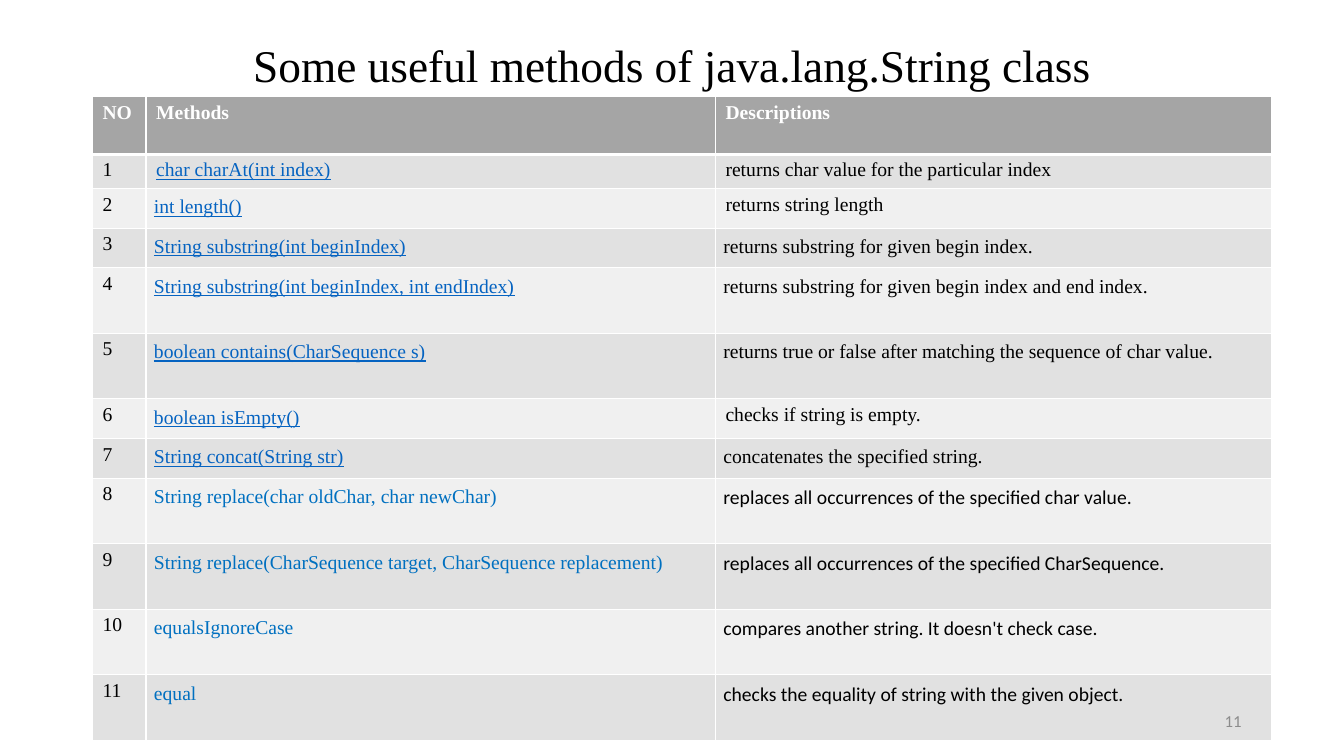
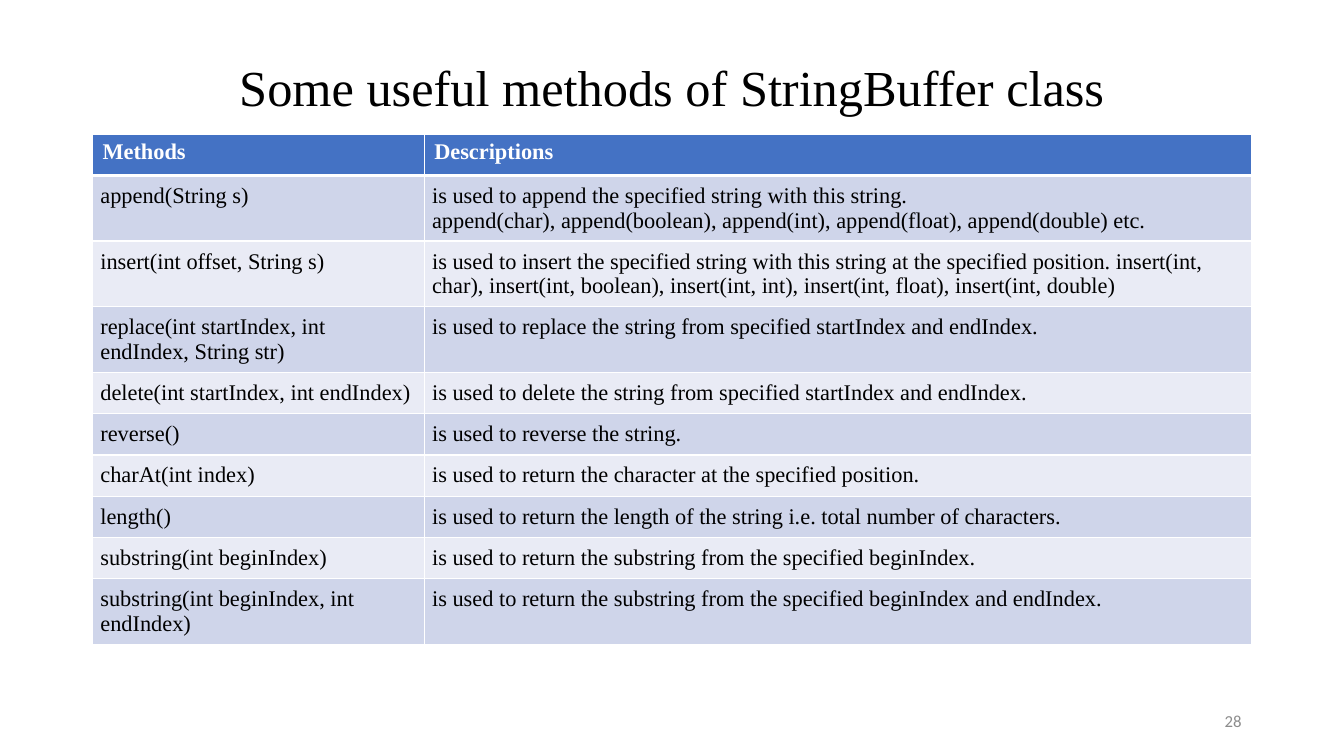
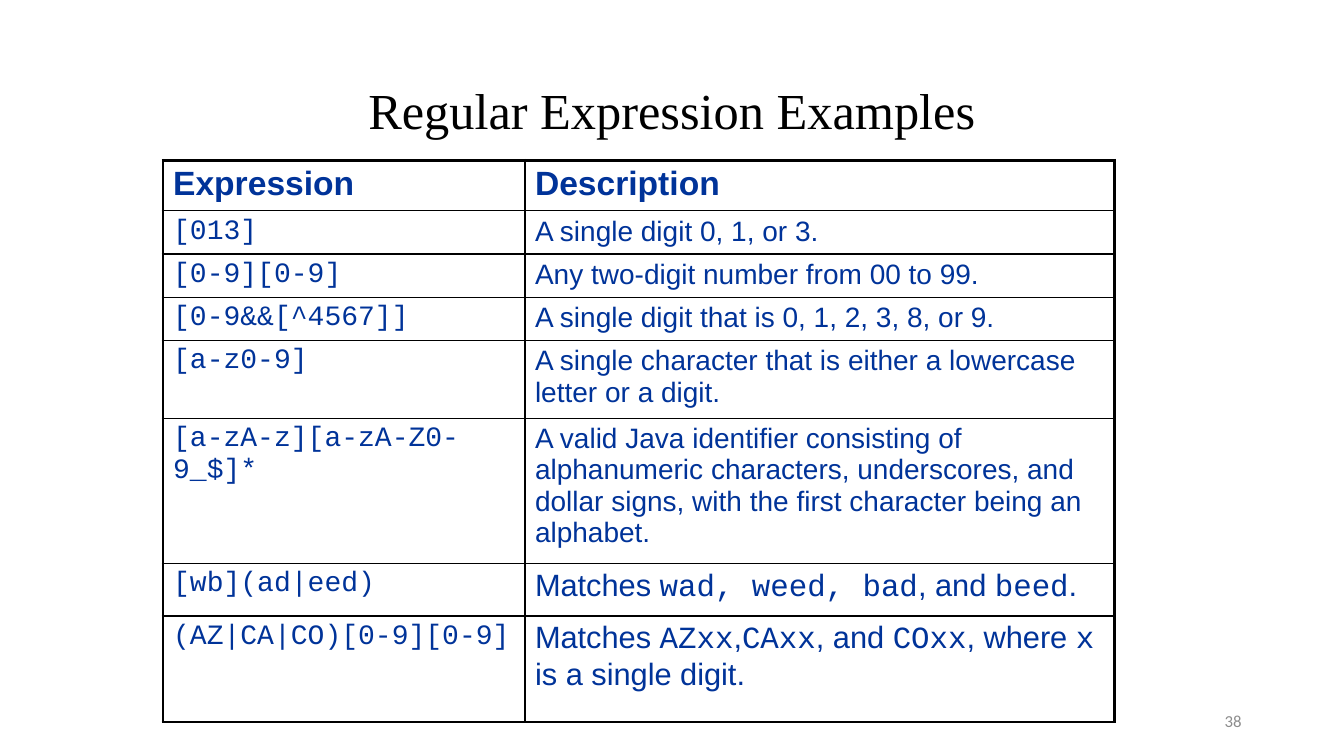
import pptx
import pptx.dml.color
import pptx.enum.text
import pptx.oxml
import pptx.oxml.ns
import pptx.util
from pptx.util import Cm

SERIF, SANS, MONO, PLAIN = "Times New Roman", "Arial", "Courier New", "Calibri"
BLACK, WHITE, GRAY = "000000", "FFFFFF", "8C8C8C"
LINK, METHOD, NAVY = "0563C1", "0070C0", "003399"
MARGIN, CONTENT_WIDTH = 2.33, 29.21
ALIGN = pptx.enum.text.PP_ALIGN
MIDDLE = pptx.enum.text.MSO_ANCHOR.MIDDLE

STRING_METHODS = [
    ("char charAt(int index)", "returns char value for the particular index"),
    ("int length()", "returns string length"),
    ("String substring(int beginIndex)", "returns substring for given begin index."),
    ("String substring(int beginIndex, int endIndex)",
     "returns substring for given begin index and end index."),
    ("boolean contains(CharSequence s)",
     "returns true or false after matching the sequence of char value."),
    ("boolean isEmpty()", "checks if string is empty."),
    ("String concat(String str)", "concatenates the specified string."),
    ("String replace(char oldChar, char newChar)",
     "replaces all occurrences of the specified char value."),
    ("String replace(CharSequence target, CharSequence replacement)",
     "replaces all occurrences of the specified CharSequence."),
    ("equalsIgnoreCase", "compares another string. It doesn't check case."),
    ("equal", "checks the equality of string with the given object."),
]
BUFFER_METHODS = [
    ("append(String s)",
     "is used to append the specified string with this string.\n"
     "append(char), append(boolean), append(int), append(float), append(double) etc."),
    ("insert(int offset, String s)",
     "is used to insert the specified string with this string at the specified position. "
     "insert(int, char), insert(int, boolean), insert(int, int), insert(int, float), "
     "insert(int, double)"),
    ("replace(int startIndex, int endIndex, String str)",
     "is used to replace the string from specified startIndex and endIndex."),
    ("delete(int startIndex, int endIndex)",
     "is used to delete the string from specified startIndex and endIndex."),
    ("reverse()", "is used to reverse the string."),
    ("charAt(int index)", "is used to return the character at the specified position."),
    ("length()", "is used to return the length of the string i.e. total number of characters."),
    ("substring(int beginIndex)",
     "is used to return the substring from the specified beginIndex."),
    ("substring(int beginIndex, int endIndex)",
     "is used to return the substring from the specified beginIndex and endIndex."),
]
EXPRESSIONS = [
    ("[013]", "A single digit 0, 1, or 3.", 20),
    ("[0-9][0-9]", "Any two-digit number from 00 to 99.", 20),
    ("[0-9&&[^4567]]", "A single digit that is 0, 1, 2, 3, 8, or 9.", 20),
    ("[a-z0-9]", "A single character that is either a lowercase letter or a digit.", 20),
    ("[a-zA-z][a-zA-Z0-9_$]*",
     "A valid Java identifier consisting of alphanumeric characters, underscores, and "
     "dollar signs, with the first character being an alphabet.", 20),
    ("[wb](ad|eed)", "Matches `wad, weed, bad`, and `beed`.", 22),
    ("(AZ|CA|CO)[0-9][0-9]",
     "Matches `AZxx`,`CAxx`, and `COxx`, where `x` is a single digit.", 22),
]


def rgb(value):
    """Turn a hex string into a colour."""
    return pptx.dml.color.RGBColor.from_string(value)


def write(frame, text, font=SERIF, size=16, color=BLACK, bold=False, underline=False,
          align=ALIGN.LEFT, spacing=None):
    """Write lines of text, setting parts between backticks in the code font."""
    frame.word_wrap = True
    for number, line in enumerate(text.split("\n")):
        paragraph = frame.add_paragraph() if number else frame.paragraphs[0]
        paragraph.alignment = align
        if spacing:
            paragraph.line_spacing = spacing
        for index, part in enumerate(line.split("`")):
            run = paragraph.add_run()
            run.text = part
            run.font.name = MONO if index % 2 else font
            run.font.size = pptx.util.Pt(size)
            run.font.color.rgb = rgb(color)
            run.font.bold = bold
            run.font.underline = underline


class Deck:
    """Hold the shared style and the current slide."""

    def __init__(self):
        """Start a widescreen presentation."""
        self.presentation = pptx.Presentation()
        self.presentation.slide_width = Cm(33.87)
        self.presentation.slide_height = Cm(19.05)
        self.slide = None

    def new_slide(self, title, height, size=36):
        """Add a slide with a centred title."""
        self.slide = self.presentation.slides.add_slide(self.presentation.slide_layouts[5])
        shape = self.slide.shapes.title
        shape.left, shape.top = Cm(MARGIN), Cm(1.01)
        shape.width, shape.height = Cm(CONTENT_WIDTH), Cm(height)
        shape.text_frame.auto_size = pptx.enum.text.MSO_AUTO_SIZE.NONE
        shape.text_frame.vertical_anchor = MIDDLE
        write(shape.text_frame, title, size=size, align=ALIGN.CENTER, spacing=0.9)

    def page_number(self, number):
        """Write the page number at the lower right."""
        shape = self.slide.shapes.add_textbox(Cm(23.92), Cm(17.65), Cm(7.62), Cm(1.01))
        shape.text_frame.vertical_anchor = MIDDLE
        write(shape.text_frame, str(number), font=PLAIN, size=12, color=GRAY,
              align=ALIGN.RIGHT)

    def table(self, left, top, widths, heights):
        """Add an empty table with the given columns and rows."""
        table = self.slide.shapes.add_table(
            len(heights), len(widths), Cm(left), Cm(top),
            Cm(sum(widths)), Cm(sum(heights))).table
        for column, width in zip(table.columns, widths):
            column.width = Cm(width)
        for row, height in zip(table.rows, heights):
            row.height = Cm(height)
        return table

    def cell(self, cell, text, fill=None, padded=False, line=WHITE,
             borders=(1, 1, 1, 1), **style):
        """Fill a cell; border widths run left, right, top, bottom."""
        if padded:
            cell.margin_left = cell.margin_right = Cm(0.2)
            cell.margin_top = cell.margin_bottom = Cm(0.2)
        if fill:
            cell.fill.solid()
            cell.fill.fore_color.rgb = rgb(fill)
        else:
            cell.fill.background()
        properties = cell._tc.get_or_add_tcPr()
        for index, (side, width) in enumerate(zip("LRTB", borders)):
            properties.insert(index, pptx.oxml.parse_xml(
                f'<a:ln{side} {pptx.oxml.ns.nsdecls("a")} w="{pptx.util.Pt(width)}">'
                f'<a:solidFill><a:srgbClr val="{line}"/></a:solidFill></a:ln{side}>'))
        write(cell.text_frame, text, **style)

    def header(self, table, labels, fill, size):
        """Fill the coloured header row of a banded table."""
        for column, label in enumerate(labels):
            self.cell(table.cell(0, column), label, fill, borders=(1, 1, 1, 3),
                      size=size, color=WHITE, bold=True)


def string_slide(deck):
    """Build the table of String methods."""
    deck.new_slide("Some useful methods of java.lang.String class", 1.42, size=32.4)
    heights = [1.45, 0.86, 1, 1, 1.65, 1.65, 1, 1] + [1.65] * 4
    table = deck.table(MARGIN, 2.44, [1.35, 14.35, 14.02], heights)
    deck.header(table, ("NO", "Methods", "Descriptions"), "A5A5A5", 14)
    for row, (method, description) in enumerate(STRING_METHODS, 1):
        fill = "E1E1E1" if row % 2 else "F0F0F0"
        linked = row <= 7
        deck.cell(table.cell(row, 0), str(row), fill, size=14)
        deck.cell(table.cell(row, 1), method, fill, padded=row > 1, size=14,
                  color=LINK if linked else METHOD, underline=linked)
        deck.cell(table.cell(row, 2), description, fill, padded=row not in (1, 2, 6),
                  size=14, font=SERIF if linked else PLAIN)
    deck.page_number(11)


def buffer_slide(deck):
    """Build the table of StringBuffer methods."""
    deck.new_slide("Some useful methods of StringBuffer class", 2.51)
    table = deck.table(MARGIN, 3.38, [8.36, 20.85], [1.04] * (len(BUFFER_METHODS) + 1))
    deck.header(table, ("Methods", "Descriptions"), "4472C4", 16)
    for row, texts in enumerate(BUFFER_METHODS, 1):
        for column, text in enumerate(texts):
            deck.cell(table.cell(row, column), text, "CFD5EA" if row % 2 else "E9EBF5",
                      padded=True)
    deck.page_number(28)


def expression_slide(deck):
    """Build the ruled table of regular expressions."""
    deck.new_slide("Regular Expression Examples", 3.68)
    heights = [1.27, 1.09, 1.09, 1.09, 1.96, 3.66, 1.32, 2.67]
    table = deck.table(4.11, 4.04, [9.12, 14.86], heights)
    thick, thin = 2.25, 1
    for row, (expression, description, size) in enumerate(
            [("Expression", "Description", 24)] + EXPRESSIONS):
        heading = row == 0
        top = thick if heading else thin
        bottom = thick if row == len(EXPRESSIONS) else thin
        shared = dict(line=BLACK, color=NAVY, bold=heading)
        deck.cell(table.cell(row, 0), expression, borders=(thick, thin, top, bottom),
                  font=SANS if heading else MONO, size=24 if heading else 20, **shared)
        deck.cell(table.cell(row, 1), description, borders=(thin, thick, top, bottom),
                  font=SANS, size=size, **shared)
    deck.page_number(38)


def main():
    """Build and save the presentation."""
    deck = Deck()
    string_slide(deck)
    buffer_slide(deck)
    expression_slide(deck)
    deck.presentation.save("out.pptx")


if __name__ == "__main__":
    main()
